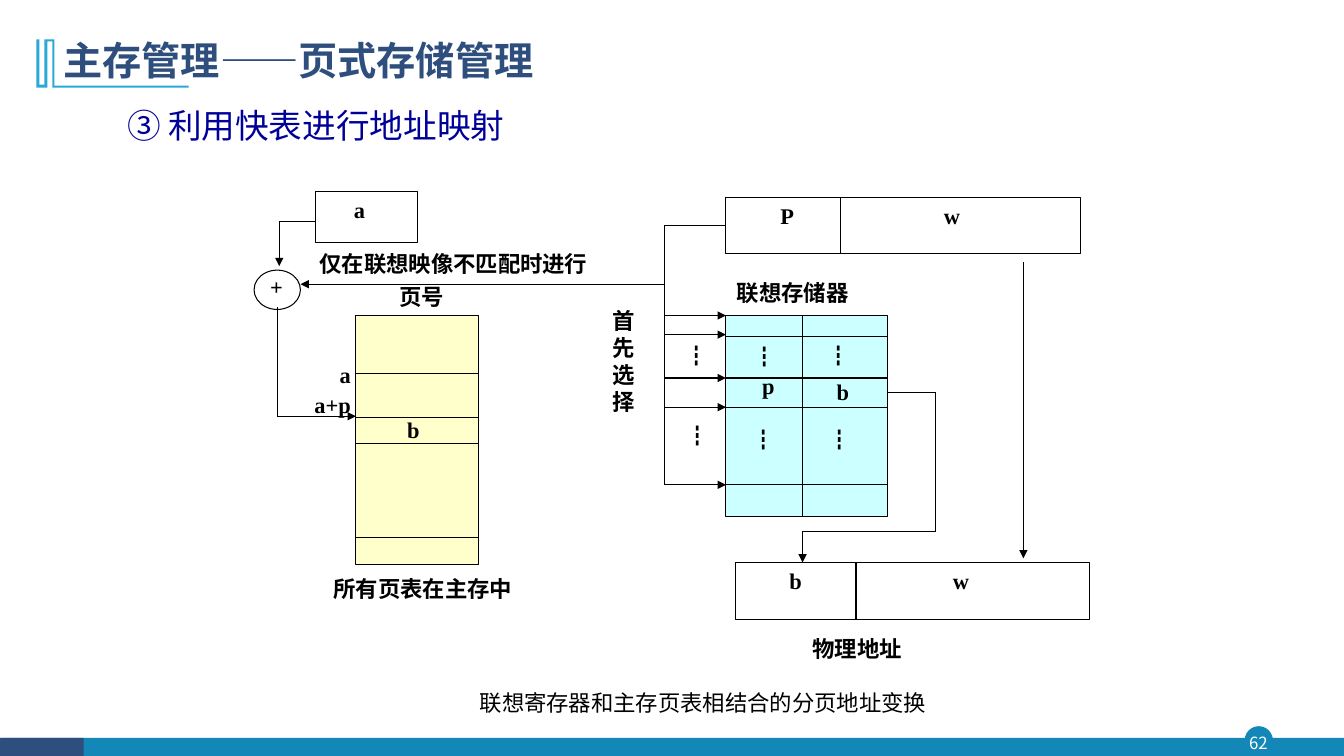
from dataclasses import dataclass

from pptx import Presentation, util as u
from pptx.dml.color import RGBColor
from pptx.enum import shapes, text
from pptx.oxml.ns import qn
from lxml import etree

PX = 9144  # one px is a hundredth of an inch


@dataclass(frozen=True)
class Theme:
    sans: str = "Noto Sans CJK SC"
    serif: str = "Times New Roman"
    title_size: int = 28
    heading_size: int = 24
    label_size: int = 16
    number_size: int = 12
    line_width: float = 0.75
    black: str = "000000"
    white: str = "FFFFFF"
    navy: str = "2E4E7E"
    blue: str = "1387B7"
    sky: str = "28A9D6"
    heading: str = "000099"
    page_table: str = "FFFFCC"
    fast_table: str = "CCFFFF"


THEME = Theme()
RECT = shapes.MSO_SHAPE.RECTANGLE
OVAL = shapes.MSO_SHAPE.OVAL
ALIGN = text.PP_ALIGN
ANCHOR = text.MSO_ANCHOR


def color(value):
    return RGBColor.from_string(value)


def px(*values):
    return [value * PX for value in values]


def write(shape, content, size=THEME.label_size, font=THEME.serif, ink=THEME.black,
          bold=True, align=ALIGN.JUSTIFY, anchor=ANCHOR.TOP, insets=(10, 5, 10, 5),
          spacing=None, before=None, tab=None):
    """Fill a shape with one paragraph per line of content."""
    frame = shape.text_frame
    frame.word_wrap = True
    frame.auto_size = text.MSO_AUTO_SIZE.NONE
    frame.vertical_anchor = anchor
    (frame.margin_left, frame.margin_top,
     frame.margin_right, frame.margin_bottom) = px(*insets)
    for index, line in enumerate(content.split("\n")):
        paragraph = frame.add_paragraph() if index else frame.paragraphs[0]
        paragraph.alignment = align
        paragraph.line_spacing = spacing
        if before:
            paragraph.space_before = u.Pt(before)
        if tab:
            stops = etree.SubElement(paragraph._p.get_or_add_pPr(), qn("a:tabLst"))
            etree.SubElement(stops, qn("a:tab"), pos=str(tab * PX), algn="l")
        run = paragraph.add_run()
        run.text = line
        run.font.size, run.font.bold, run.font.name = u.Pt(size), bold, font
        run.font.color.rgb = color(ink)
        east_asian = etree.SubElement(run._r.get_or_add_rPr(), qn("a:ea"))
        east_asian.set("typeface", THEME.sans)


def add_label(slide, content, box, **style):
    write(slide.shapes.add_textbox(*px(*box)), content, **style)


def add_box(slide, kind, box, fill, line=THEME.black):
    shape = slide.shapes.add_shape(kind, *px(*box))
    shape.shadow.inherit = False
    shape.fill.solid()
    shape.fill.fore_color.rgb = color(fill)
    if line:
        shape.line.color.rgb = color(line)
        shape.line.width = u.Pt(THEME.line_width)
    else:
        shape.line.fill.background()
    return shape


def add_line(slide, start, end, arrow=False):
    connector = slide.shapes.add_connector(
        shapes.MSO_CONNECTOR.STRAIGHT, *px(*start, *end))
    connector.line.color.rgb = color(THEME.black)
    connector.line.width = u.Pt(THEME.line_width)
    if arrow:
        etree.SubElement(connector.line._get_or_add_ln(), qn("a:tailEnd"), type="triangle")
    etree.SubElement(connector._element.spPr, qn("a:effectLst"))
    return connector


def add_path(slide, points):
    """Join the points with lines; the last one carries the arrowhead."""
    for index in range(1, len(points)):
        add_line(slide, points[index - 1], points[index], arrow=index == len(points) - 1)


def add_table_block(slide, box, fill, row_lines, column_lines=()):
    left, top, width, height = box
    add_box(slide, RECT, box, fill)
    for y in row_lines:
        add_line(slide, (left, y), (left + width, y))
    for x in column_lines:
        add_line(slide, (x, top), (x, top + height))


def add_address(slide, box, divider, content):
    """Address word with two fields split by a divider."""
    top, height = box[1], box[3]
    shape = add_box(slide, RECT, box, THEME.white)
    write(shape, content, insets=(54, 5, 10, 5), tab=162)
    add_line(slide, (divider, top), (divider, top + height))
    return shape


def add_decoration(slide):
    # Footer band and page number
    add_box(slide, OVAL, (1235, 721, 27, 27), THEME.blue, THEME.blue)
    add_box(slide, RECT, (1, 732, 1332, 19), THEME.blue, None)
    add_box(slide, RECT, (0, 732, 83, 19), THEME.navy, None)
    add_label(slide, "62", (1232, 721, 32, 31), size=THEME.number_size, font=THEME.sans,
              ink=THEME.white, bold=False, align=ALIGN.CENTER, anchor=ANCHOR.MIDDLE,
              insets=(0, 0, 0, 0))
    # Title ornament
    outline = [(54, 39), (54, 85), (187, 85), (187, 87), (52, 87), (52, 41), (47, 41),
               (47, 87), (36, 87), (36, 39), (39, 39), (39, 84), (44, 84), (44, 39)]
    builder = slide.shapes.build_freeform(*outline[0], scale=PX)
    builder.add_line_segments(outline[1:], close=True)
    ornament = builder.convert_to_shape()
    ornament.shadow.inherit = False
    ornament.fill.solid()
    ornament.fill.fore_color.rgb = color(THEME.sky)
    ornament.line.fill.background()


def add_headings(slide):
    title = slide.shapes.title
    title.left, title.top, title.width, title.height = px(53, 34, 1049, 56)
    write(title, "主存管理——页式存储管理", size=THEME.title_size, font=THEME.sans,
          ink=THEME.navy, align=ALIGN.LEFT, anchor=ANCHOR.MIDDLE, spacing=0.9)
    add_label(slide, "③ 利用快表进行地址映射", (53, 91, 605, 58),
              size=THEME.heading_size, ink=THEME.heading, bold=False, align=ALIGN.LEFT,
              insets=(73, 5, 10, 5), spacing=1.2, before=7.2)


def add_page_table(slide):
    register = add_box(slide, RECT, (313, 190, 101, 51), THEME.white)
    write(register, "a", insets=(38, 5, 10, 5))
    add_table_block(slide, (353, 313, 122, 247), THEME.page_table, (371, 414, 440, 533))
    add_box(slide, OVAL, (252, 268, 46, 39), THEME.white)
    add_path(slide, [(313, 220), (277, 220), (277, 264)])
    add_path(slide, [(275, 305), (275, 413), (353, 413)])


def add_fast_table(slide):
    logical = add_address(slide, (720, 196, 352, 56), 834, "P\tw")
    add_table_block(slide, (720, 313, 160, 199), THEME.fast_table,
                    (334, 375, 404, 481), (796,))
    # Page number sent to every row and to the adder
    add_line(slide, (720, 224), (659, 224)).begin_connect(logical, 1)
    add_line(slide, (659, 224), (659, 481))
    for y in (313, 332, 375, 404, 481):
        add_line(slide, (659, y), (720, y), arrow=True)
    add_line(slide, (659, 282), (298, 282), arrow=True)
    # Physical address
    add_address(slide, (729, 558, 352, 57), 849, "b\tw")
    add_path(slide, [(880, 389), (928, 389), (928, 527), (796, 527), (796, 558)])
    add_line(slide, (1015, 260), (1015, 554), arrow=True)


def add_labels(slide):
    labels = [
        ("+", (258, 266, 53, 55)),
        ("仅在联想映像不匹配时进行", (307, 243, 319, 41)),
        ("页号", (386, 276, 91, 49)),
        ("首\n先\n选\n择", (598, 300, 45, 141)),
        ("联想存储器", (721, 272, 151, 44)),
        ("所有页表在主存中", (321, 566, 243, 59)),
        ("物理地址", (796, 625, 152, 66)),
        ("p", (746, 364, 46, 49)),
        ("b", (820, 370, 46, 49)),
        ("b", (394, 408, 46, 49)),
        ("a+p", (302, 383, 76, 49)),
        ("a", (327, 353, 46, 49)),
    ]
    for content, box in labels:
        add_label(slide, content, box)
    for x, y in ((670, 334), (738, 335), (811, 334), (671, 414), (737, 418), (812, 418)):
        add_label(slide, "┇", (x, y, 46, 49), font=THEME.sans)
    add_label(slide, "联想寄存器和主存页表相结合的分页地址变换", (466, 679, 484, 37),
              bold=False, align=ALIGN.LEFT, before=4.8)


def main():
    presentation = Presentation()
    presentation.slide_width, presentation.slide_height = px(1333, 750)
    slide = presentation.slides.add_slide(presentation.slide_layouts[5])
    add_decoration(slide)
    add_headings(slide)
    add_page_table(slide)
    add_fast_table(slide)
    add_labels(slide)
    presentation.save("out.pptx")


if __name__ == "__main__":
    main()
